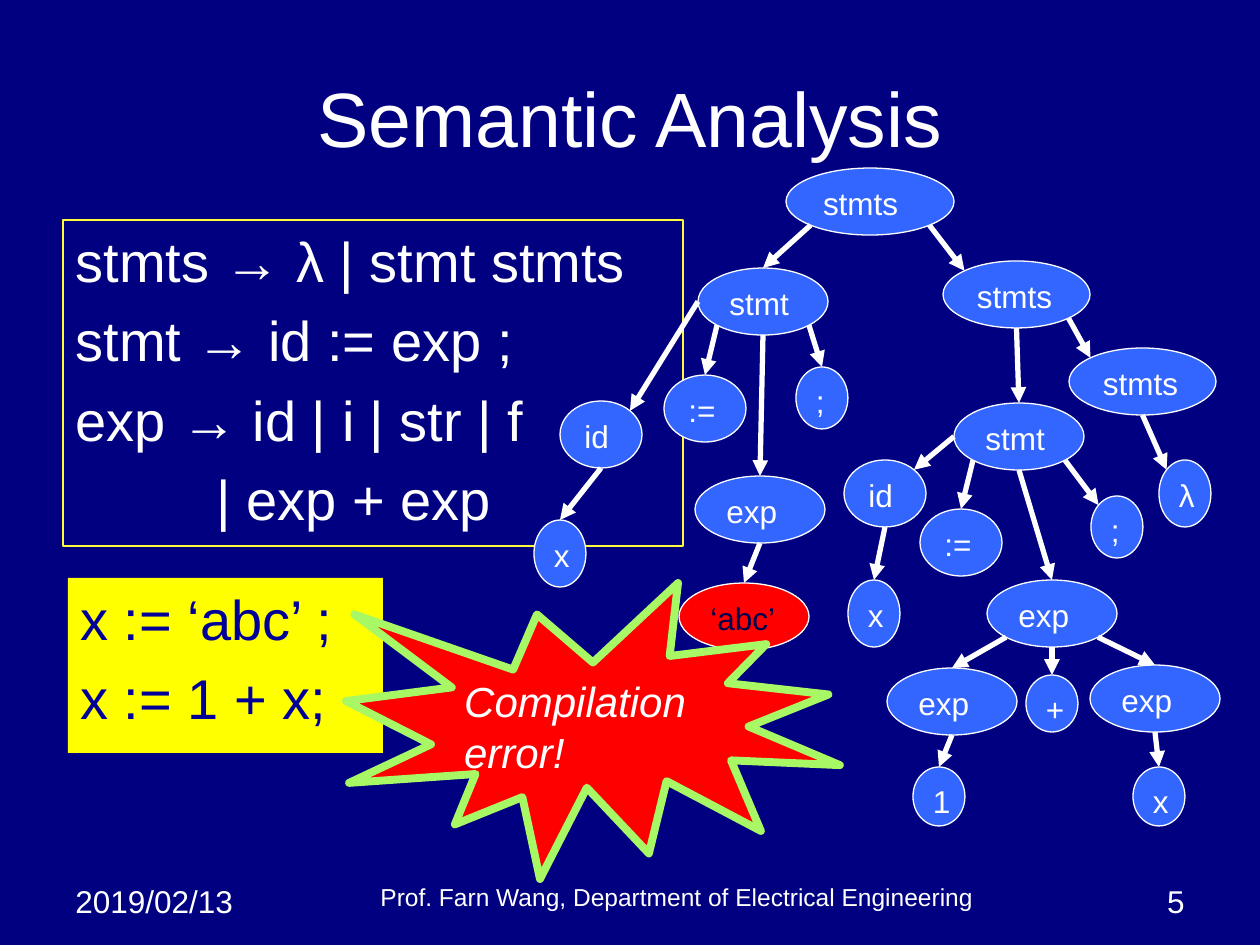
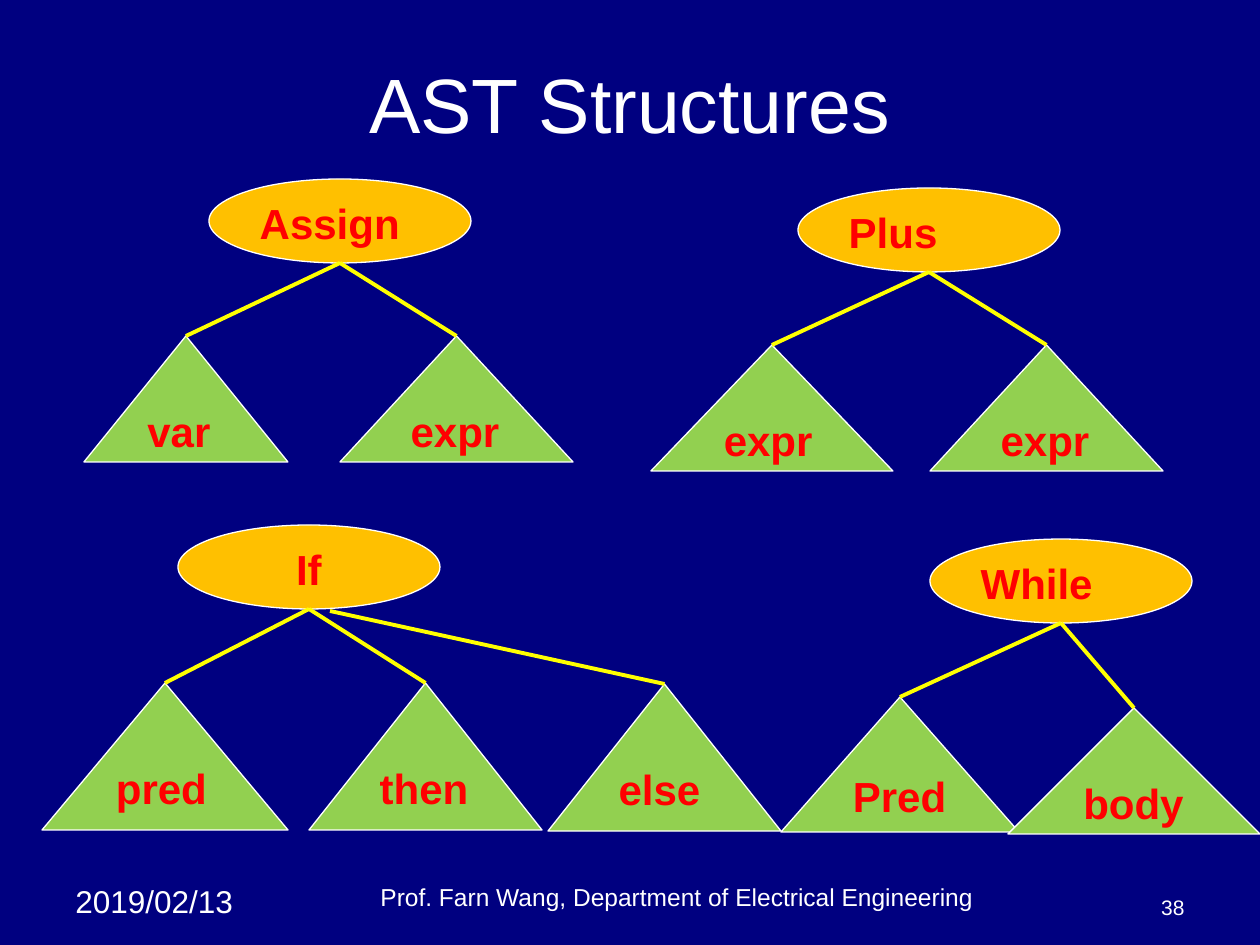
from math import sqrt
from lxml import etree
from pptx import Presentation
from pptx.dml.color import RGBColor
from pptx.enum.shapes import MSO_CONNECTOR as CXN, MSO_SHAPE as SHP
from pptx.enum.text import MSO_ANCHOR as ANC, MSO_AUTO_SIZE as FIT, PP_ALIGN as AL
from pptx.oxml.ns import qn
from pptx.util import Pt

NAVY, WHITE, BLUE, RED, YELLOW = "000080", "FFFFFF", "3366FF", "FF0000", "FFFF00"
AMBER, GREEN, LIME, LEMON = "FFC000", "92D050", "A7F864", "FFFB3B"
INK, DARK = "000099", "00004C"
FONT = "Arial"
PX = 914400 / 126

DATE = "2019/02/13"
FOOTER = "Prof. Farn Wang, Department of Electrical Engineering"

GRAMMAR = [
    ("stmts → λ | stmt stmts", 0),
    ("stmt → id := exp ;", 0),
    ("exp → id | i | str | f", 0),
    ("| exp + exp", 141),
]
PROGRAM = ["x := ‘abc’ ;", "x := 1 + x;"]

WIDTHS = {"stmts": 147, "stmt": 130, "exp": 130, "‘abc’": 130, "id": 82, ":=": 82}
HEIGHTS = {";": 62, "+": 57, "1": 59}
NODES = {
    "root": ("stmts", 786, 168, 168),
    "rest": ("stmts", 943, 261),
    "end": ("stmts", 1069, 348),
    "stmt1": ("stmt", 698, 268),
    "id1": ("id", 560, 401),
    "becomes1": (":=", 664, 375),
    "exp1": ("exp", 695, 476),
    "semi1": (";", 796, 367),
    "x1": ("x", 534, 520),
    "abc": ("‘abc’", 679, 583),
    "empty": ("λ", 1159, 460),
    "stmt2": ("stmt", 954, 403),
    "id2": ("id", 844, 460),
    "becomes2": (":=", 920, 509),
    "exp2": ("exp", 987, 580),
    "semi2": (";", 1091, 496),
    "x2": ("x", 848, 580),
    "left": ("exp", 887, 668),
    "right": ("exp", 1090, 665),
    "plus": ("+", 1026, 675),
    "x3": ("x", 1133, 767, 52, 59),
    "one": ("1", 913, 767),
}
EDGES = [
    ("root", "SW", "stmt1", "N"), ("root", "SE", "rest", "NW"),
    ("stmt1", "W", "id1", "NE"), ("stmt1", "SW", "becomes1", "N"),
    ("stmt1", "S", "exp1", "N"), ("stmt1", "SE", "semi1", "N"),
    ("rest", "S", "stmt2", "N"), ("rest", "SE", "end", "NW"),
    ("exp1", "S", "abc", "N"), ("id1", "S", "x1", "N"), ("end", "S", "empty", "NW"),
    ("stmt2", "W", "id2", "NE"), ("stmt2", "SW", "becomes2", "N"),
    ("stmt2", "S", "exp2", "N"), ("stmt2", "SE", "semi2", "NW"),
    ("exp2", "SW", "left", "N"), ("exp2", "S", "plus", "N"), ("exp2", "SE", "right", "N"),
    ("id2", "S", "x2", "N"), ("left", "S", "one", "N"), ("right", "S", "x3", "N"),
]

ROOT_W, ROOT_H = 262, 84
AST = [
    ("Assign", 209, 179, AL.LEFT, [
        ("var", 84, 336, 204, 126, (0, 0)), ("expr", 340, 336, 233, 126, (0, 0))]),
    ("Plus", 798, 188, AL.LEFT, [
        ("expr", 651, 345, 242, 126, (0, 0)), ("expr", 930, 345, 233, 126, (0, 0))]),
    ("If", 178, 525, AL.CENTER, [
        ("pred", 42, 683, 246, 147, (0, 0)), ("then", 309, 683, 233, 147, (0, 0)),
        ("else", 548, 684, 233, 147, (21, 2))]),
    ("While", 930, 539, AL.LEFT, [
        ("Pred", 781, 697, 238, 135, (0, 0)), ("body", 1008, 708, 252, 126, (0, 0))]),
]


def emu(*px):
    return [round(v * PX) for v in px]


def rgb(color):
    return RGBColor.from_string(color)


def write(sp, lines, size, color=WHITE, align=AL.LEFT, anchor=ANC.TOP,
          before=0, bold=False, italic=False):
    tf = sp.text_frame
    tf.auto_size = FIT.NONE
    tf.word_wrap = True
    tf.vertical_anchor = anchor
    for i, line in enumerate(lines):
        p = tf.add_paragraph() if i else tf.paragraphs[0]
        p.alignment = align
        p.space_before = Pt(before)
        r = p.add_run()
        r.text = line
        f = r.font
        f.name, f.size, f.bold, f.italic = FONT, Pt(size), bold, italic
        f.color.rgb = rgb(color)


def place(sp, box):
    sp.left, sp.top, sp.width, sp.height = emu(*box)


def add_shape(s, kind, box, fill, line=WHITE, weight=0.75):
    sp = s.shapes.add_shape(kind, *emu(*box))
    sp.shadow.inherit = False
    sp.fill.solid()
    sp.fill.fore_color.rgb = rgb(fill)
    if line:
        sp.line.color.rgb = rgb(line)
        sp.line.width = Pt(weight)
    else:
        sp.line.fill.background()
    return sp


def add_line(s, start, end, color, weight, arrow=False):
    c = s.shapes.add_connector(CXN.STRAIGHT, *emu(*start, *end))
    c.line.color.rgb = rgb(color)
    c.line.width = Pt(weight)
    if arrow:
        etree.SubElement(c.line._get_or_add_ln(), qn("a:tailEnd"), type="triangle")
    etree.SubElement(c._element.spPr, qn("a:effectLst"))


def add_text(s, box, text, size, align, anchor):
    write(s.shapes.add_textbox(*emu(*box)), [text], size, align=align, anchor=anchor)


def add_slide(prs, layout, title, title_h, number, number_size):
    s = prs.slides.add_slide(prs.slide_layouts[layout])
    place(s.shapes.title, (63, 38, 1134, title_h))
    write(s.shapes.title, [title], 44, align=AL.CENTER, anchor=ANC.MIDDLE)
    add_text(s, (63, 876, 199, 50), DATE, 18, AL.LEFT, ANC.TOP)
    add_text(s, (252, 876, 850, 42), FOOTER, 14, AL.CENTER, ANC.BOTTOM)
    add_text(s, (903, 892, 294, 34), number, number_size, AL.RIGHT, ANC.BOTTOM)
    return s


def node_box(label, x, y, w=None, h=None):
    return x, y, w or WIDTHS.get(label, 52), h or HEIGHTS.get(label, 67)


def port(name, side):
    x, y, w, h = node_box(*NODES[name])
    dx = ("E" in side) - ("W" in side)
    dy = ("S" in side) - ("N" in side)
    reach = 1 / sqrt(dx * dx + dy * dy)
    return x + w / 2 * (1 + dx * reach), y + h / 2 * (1 + dy * reach)


def add_grammar(s):
    body = s.placeholders[1]
    place(body, (63, 220, 620, 326))
    body.line.color.rgb = rgb(LEMON)
    body.line.width = Pt(0.75)
    write(body, [text for text, _ in GRAMMAR], 32, before=7)
    for p, (_, indent) in zip(body.text_frame.paragraphs, GRAMMAR):
        pPr = p._p.get_or_add_pPr()
        pPr.set("marL", str(emu(indent)[0]))
        pPr.set("indent", "0")
        etree.SubElement(pPr, qn("a:buNone"))


def build_semantic(prs):
    s = add_slide(prs, 1, "Semantic Analysis", 157, "5", 18)
    add_grammar(s)
    program = add_shape(s, SHP.RECTANGLE, (68, 578, 315, 175), YELLOW, line=None)
    write(program, PROGRAM, 32, INK, before=7)
    for node in NODES.values():
        wrong = node[0] == "‘abc’"
        sp = add_shape(s, SHP.OVAL, node_box(*node), RED if wrong else BLUE)
        write(sp, [node[0]], 18, DARK if wrong else WHITE)
    for parent, out, child, into in EDGES:
        add_line(s, port(parent, out), port(child, into), WHITE, 3, arrow=True)
    burst = add_shape(s, SHP.EXPLOSION1, (346, 583, 494, 296), RED, LIME, 4.5)
    write(burst, ["Compilation error!"], 24, italic=True)


def build_ast(prs):
    s = add_slide(prs, 5, "AST Structures", 130, "38", 12)
    for label, x, y, align, children in AST:
        root = add_shape(s, SHP.OVAL, (x, y, ROOT_W, ROOT_H), AMBER)
        write(root, [label], 24, RED, align, bold=True)
        for name, cx, cy, w, h, (dx, dy) in children:
            sp = add_shape(s, SHP.ISOSCELES_TRIANGLE, (cx, cy, w, h), GREEN)
            write(sp, [name], 24, RED, bold=True)
            start = x + ROOT_W / 2 + dx, y + ROOT_H + dy
            add_line(s, start, (cx + w / 2, cy), YELLOW, 2.25)


def main():
    prs = Presentation()
    prs.slide_width, prs.slide_height = emu(1260, 945)
    fill = prs.slide_master.background.fill
    fill.solid()
    fill.fore_color.rgb = rgb(NAVY)
    build_semantic(prs)
    build_ast(prs)
    prs.save("out.pptx")


if __name__ == "__main__":
    main()
